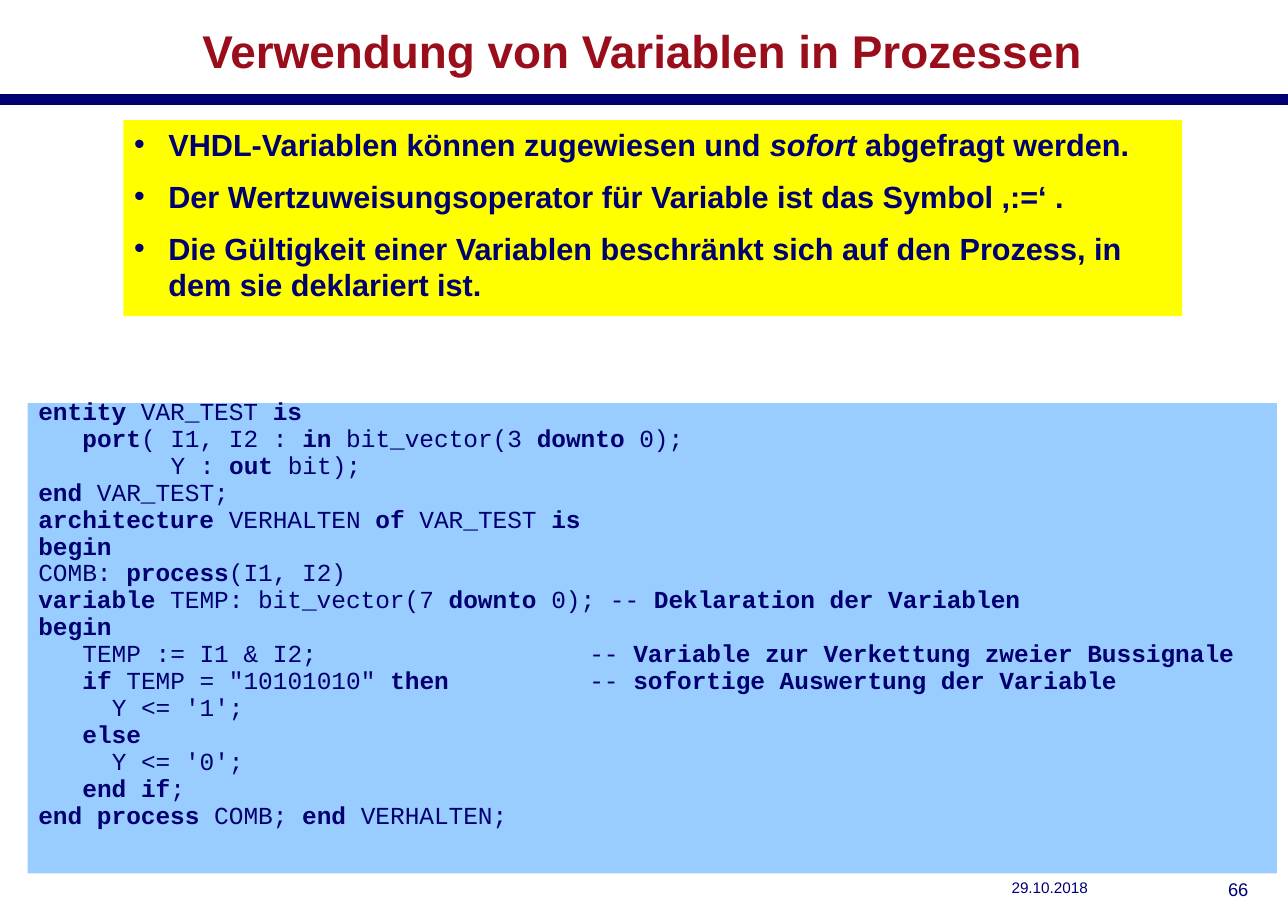
"""Build the slide on variables in VHDL processes."""
from dataclasses import dataclass, field
from typing import Any

from lxml import etree
from pptx import Presentation
from pptx.dml.color import RGBColor
from pptx.enum.shapes import MSO_CONNECTOR, MSO_SHAPE
from pptx.enum.text import MSO_ANCHOR, PP_ALIGN
from pptx.oxml.ns import qn
from pptx.util import Emu, Inches, Pt

LEFT, CENTER, RIGHT = PP_ALIGN.LEFT, PP_ALIGN.CENTER, PP_ALIGN.RIGHT
TOP, MIDDLE = MSO_ANCHOR.TOP, MSO_ANCHOR.MIDDLE
RECT, STRAIGHT = MSO_SHAPE.RECTANGLE, MSO_CONNECTOR.STRAIGHT
WIDE, HIGH = Inches(11.69), Inches(8.27)
CHAR = Pt(9.6)
HANG = Inches(0.31)
STOP = Inches(4.6)


@dataclass(frozen=True)
class Theme:
    """Colours, fonts and type sizes of the slide."""
    navy: str = "000070"
    red: str = "9A0E1B"
    yellow: str = "FFFF00"
    blue: str = "99CCFF"
    sans: str = "Arial"
    mono: str = "Courier New"
    head: float = 30
    body: float = 20
    code: float = 16
    page: float = 12
    date: float = 10
    rule: float = 7.09


THEME = Theme()


@dataclass(frozen=True)
class Box:
    """A place on the slide in percent of its width and height."""
    left: float
    top: float
    width: float
    height: float

    def emu(self) -> dict[str, Emu]:
        """Return the place as shape attributes."""
        return {"left": Emu(round(WIDE * self.left / 100)),
                "top": Emu(round(HIGH * self.top / 100)),
                "width": Emu(round(WIDE * self.width / 100)),
                "height": Emu(round(HIGH * self.height / 100))}


@dataclass(frozen=True)
class Style:
    """Format values of a text: mark is what stars switch on."""
    size: float
    color: str = THEME.navy
    face: str = THEME.sans
    mark: str = "bold"
    font: dict[str, Any] = field(default_factory=dict)
    para: dict[str, Any] = field(default_factory=dict)


@dataclass(frozen=True)
class Line:
    """A paragraph with its indent in characters."""
    text: str
    depth: int = 0


HEAD = Style(THEME.head, THEME.red, font={"bold": True}, para={"alignment": CENTER})
BODY = Style(THEME.body, mark="italic", font={"bold": True},
             para={"alignment": LEFT, "space_before": Pt(10)})
CODE = Style(THEME.code, face=THEME.mono,
             para={"alignment": LEFT, "space_before": Pt(8), "line_spacing": 0.5})
DATE = Style(THEME.date)
PAGE = Style(THEME.page, para={"alignment": RIGHT})

POINTS = [
    Line("VHDL-Variablen können zugewiesen und *sofort* abgefragt werden."),
    Line("Der Wertzuweisungsoperator für Variable ist das Symbol ,:=‘ ."),
    Line("Die Gültigkeit einer Variablen beschränkt sich auf den Prozess, in dem sie deklariert ist."),
]
SOURCE = [
    Line("*entity* VAR_TEST *is*"),
    Line("*port*( I1, I2 : *in* bit_vector(3 *downto* 0);", 3),
    Line("Y : *out* bit);", 9),
    Line("*end* VAR_TEST;"),
    Line("*architecture* VERHALTEN *of* VAR_TEST *is*"),
    Line("*begin*"),
    Line("COMB: *process*(I1, I2)"),
    Line("*variable* TEMP: bit_vector(7 *downto* 0); -- *Deklaration der Variablen*"),
    Line("*begin*"),
    Line("TEMP := I1 & I2;\t-- *Variable zur Verkettung zweier Bussignale*", 3),
    Line("*if* TEMP = \"10101010\" *then*\t-- *sofortige Auswertung der Variable*", 3),
    Line("Y <= '1';", 5),
    Line("*else*", 3),
    Line("Y <= '0';", 5),
    Line("*end if*;", 3),
    Line("*end process* COMB; *end* VERHALTEN;"),
]


def put(item: Any, vals: dict[str, Any]) -> None:
    """Set each value as an attribute of the item."""
    for name, val in vals.items():
        setattr(item, name, val)


def write(shape: Any, lines: list[Line], style: Style, anchor: Any = TOP) -> None:
    """Fill a shape with lines in one style."""
    frame = shape.text_frame
    put(frame, {"word_wrap": True, "vertical_anchor": anchor})
    for num, line in enumerate(lines):
        para = frame.add_paragraph() if num else frame.paragraphs[0]
        put(para, style.para)
        if line.depth:
            para._p.get_or_add_pPr().set("marL", str(CHAR * line.depth))
        if "\t" in line.text:
            tabs = etree.SubElement(para._p.get_or_add_pPr(), qn("a:tabLst"))
            etree.SubElement(tabs, qn("a:tab"), pos=str(STOP), algn="l")
        for part, text in enumerate(line.text.split("*")):
            if text:
                run = para.add_run()
                run.text = text
                put(run.font, {"size": Pt(style.size), "name": style.face,
                               "bold": False, "italic": False, **style.font})
                run.font.color.rgb = RGBColor.from_string(style.color)
                if part % 2:
                    put(run.font, {style.mark: True})


def bullet(shape: Any) -> None:
    """Give each paragraph of a shape a hanging bullet."""
    for para in shape.text_frame.paragraphs:
        props = para._p.get_or_add_pPr()
        props.set("marL", str(HANG))
        props.set("indent", str(-HANG))
        etree.SubElement(props, qn("a:buFont"), typeface=THEME.sans)
        etree.SubElement(props, qn("a:buChar"), char="•")


def panel(slide: Any, box: Box, fill: str, lines: list[Line], style: Style) -> Any:
    """Draw a filled rectangle with text."""
    shape = slide.shapes.add_shape(RECT, **box.emu())
    shape.shadow.inherit = False
    shape.fill.solid()
    shape.fill.fore_color.rgb = RGBColor.from_string(fill)
    shape.line.fill.background()
    write(shape, lines, style)
    return shape


def note(slide: Any, box: Box, text: str, style: Style) -> None:
    """Draw a small text in the footer."""
    write(slide.shapes.add_textbox(**box.emu()), [Line(text)], style)


def rule(slide: Any, share: float) -> None:
    """Draw a bar across the slide at a share of its height."""
    level = round(HIGH * share / 100)
    bar = slide.shapes.add_connector(STRAIGHT, 0, level, WIDE, level)
    bar.line.width = Pt(THEME.rule)
    bar.line.color.rgb = RGBColor.from_string(THEME.navy)
    etree.SubElement(bar._element.spPr, qn("a:effectLst"))


def main() -> None:
    """Build and save the slide."""
    deck = Presentation()
    put(deck, {"slide_width": WIDE, "slide_height": HIGH})
    slide = deck.slides.add_slide(deck.slide_layouts[5])
    rule(slide, 10.95)
    note(slide, Box(77.7, 95.77, 14.11, 4.23), "29.10.2018", DATE)
    note(slide, Box(93.07, 95.77, 4.7, 4.23), "66", PAGE)
    title = slide.shapes.title
    put(title, Box(2.1, 1.35, 95.55, 8.22).emu())
    write(title, [Line("Verwendung von Variablen in Prozessen")], HEAD, MIDDLE)
    bullet(panel(slide, Box(9.58, 13.18, 82.21, 21.52), THEME.yellow, POINTS, BODY))
    panel(slide, Box(2.14, 44.26, 97.01, 51.63), THEME.blue, SOURCE, CODE)
    deck.save("out.pptx")


if __name__ == "__main__":
    main()
